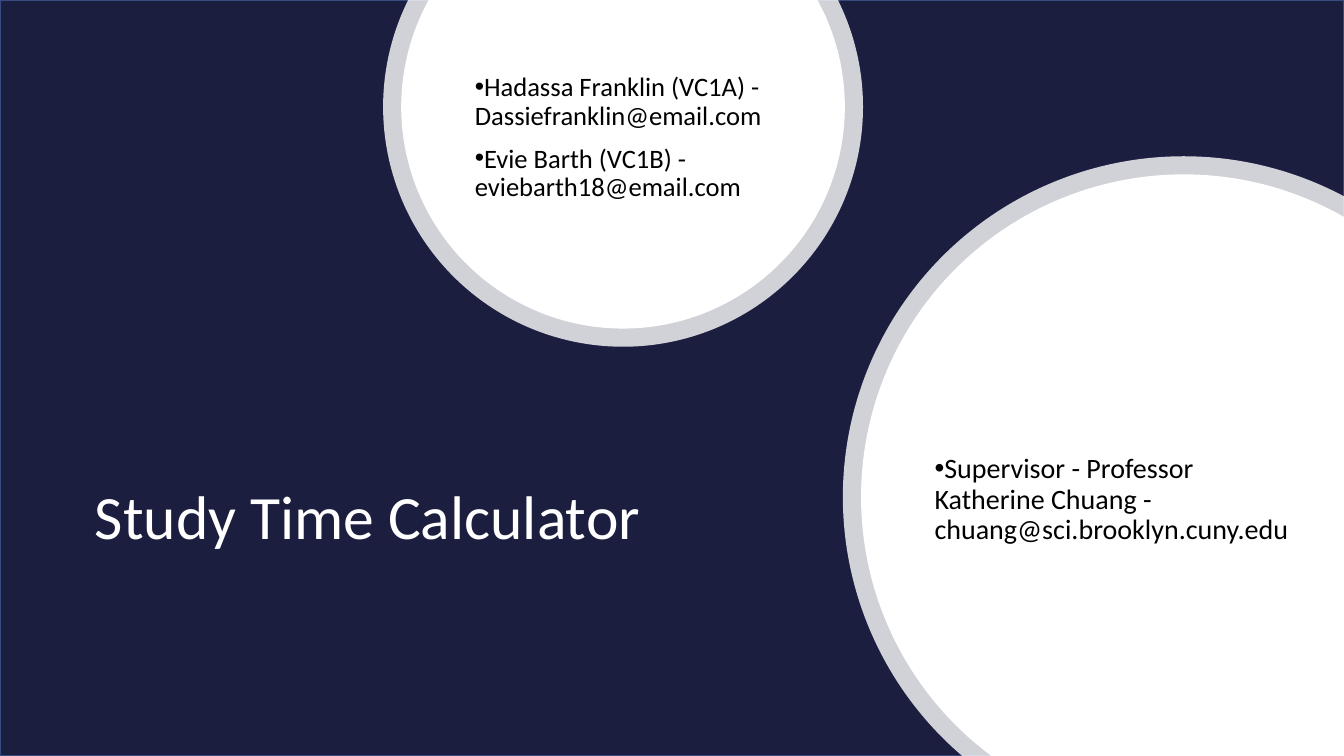
"""Build the title slide of the Study Time Calculator project."""
import math
from dataclasses import dataclass

import pptx
import pptx.dml.color
import pptx.enum.shapes
import pptx.enum.text
import pptx.oxml.ns
import pptx.util
from lxml import etree
from pptx.util import Inches

WIDTH, HEIGHT = 13.33, 7.5


@dataclass(frozen=True)
class Theme:
    """Hold the colours, font and type sizes of the slide."""
    backdrop: str = "002060"
    navy: str = "1B1E3E"
    edge: str = "374B7F"
    white: str = "FFFFFF"
    black: str = "000000"
    font: str = "Calibri"
    title_size: float = 44
    students_size: float = 19
    supervisor_size: float = 20


THEME = Theme()


def rgb(colour):
    """Turn a hexadecimal string into a colour."""
    return pptx.dml.color.RGBColor.from_string(colour)


def set_attributes(target, values):
    """Set each named value on the target."""
    for name, value in values.items():
        setattr(target, name, value)


def paint(fill, colour):
    """Apply a solid colour to a fill."""
    fill.solid()
    fill.fore_color.rgb = rgb(colour)


def set_opacity(element, percent):
    """Give the first colour inside an element an opacity."""
    colour = element.find(".//" + pptx.oxml.ns.qn("a:srgbClr"))
    alpha = etree.SubElement(colour, pptx.oxml.ns.qn("a:alpha"))
    alpha.set("val", str(percent * 1000))


def add_backdrop(slide):
    """Cover the slide with an outlined navy rectangle."""
    paint(slide.background.fill, THEME.backdrop)
    set_opacity(slide.element, 37)
    panel = slide.shapes.add_shape(
        pptx.enum.shapes.MSO_SHAPE.RECTANGLE, 0, 0, Inches(WIDTH), Inches(HEIGHT))
    panel.shadow.inherit = False
    paint(panel.fill, THEME.navy)
    panel.line.color.rgb = rgb(THEME.edge)
    panel.line.width = pptx.util.Pt(0.85)


def top_angles(centre, radius):
    """Return the arc ends of a disc cut off by the top edge."""
    cut = math.degrees(math.asin(centre[1] / radius))
    return -cut, 180 + cut


def corner_angles(centre, radius):
    """Return the arc ends of a disc cut off by the bottom right corner."""
    bottom = math.degrees(math.asin((HEIGHT - centre[1]) / radius))
    right = math.degrees(math.acos((WIDTH - centre[0]) / radius))
    return 180 - bottom, 360 - right


def bend_lines(disc, angles, radius):
    """Replace the lines between successive angles by arcs."""
    lines = list(disc.element.iter(pptx.oxml.ns.qn("a:lnTo")))
    for line, start, end in zip(lines, angles, angles[1:]):
        arc = etree.Element(pptx.oxml.ns.qn("a:arcTo"))
        values = {"wR": Inches(radius), "hR": Inches(radius),
                  "stAng": round(start % 360 * 60000),
                  "swAng": round((end - start) * 60000)}
        for name, value in values.items():
            arc.set(name, str(int(value)))
        line.getparent().replace(line, arc)


def add_clipped_disc(slide, centre, radius, find_angles, corners, opacity=100):
    """Draw a white disc cut off at the slide edges."""
    start, end = find_angles(centre, radius)
    angles = [start, *(turn for turn in range(0, 360, 90) if start < turn < end), end]
    points = [(centre[0] + radius * math.cos(math.radians(angle)),
               centre[1] + radius * math.sin(math.radians(angle))) for angle in angles]
    outline = [(Inches(x), Inches(y)) for x, y in points + corners]
    builder = slide.shapes.build_freeform(*outline[0])
    builder.add_line_segments(outline[1:], close=True)
    disc = builder.convert_to_shape()
    bend_lines(disc, angles, radius)
    disc.shadow.inherit = False
    paint(disc.fill, THEME.white)
    disc.line.fill.background()
    if opacity < 100:
        set_opacity(disc.element, opacity)


def add_ringed_disc(slide, centre, radius, find_angles, corners, ring=0.18):
    """Draw a disc with a translucent ring around it."""
    add_clipped_disc(slide, centre, radius + ring, find_angles, corners, opacity=80)
    add_clipped_disc(slide, centre, radius, find_angles, corners)


def add_bullet(paragraph):
    """Start a paragraph with a bullet."""
    properties = paragraph._p.get_or_add_pPr()
    properties.set("marL", "0")
    properties.set("indent", str(int(Inches(-0.25))))
    for tag, name, value in (("a:buFont", "typeface", "Arial"), ("a:buChar", "char", "•")):
        etree.SubElement(properties, pptx.oxml.ns.qn(tag)).set(name, value)


def fill_text(shape, box, lines, size, colour, bulleted=True):
    """Place a text shape in front and write its paragraphs."""
    shape.element.getparent().append(shape.element)
    left, top, width, height = map(Inches, box)
    set_attributes(shape, {"left": left, "top": top, "width": width, "height": height})
    frame = shape.text_frame
    set_attributes(frame, {
        "word_wrap": True,
        "auto_size": pptx.enum.text.MSO_AUTO_SIZE.NONE,
        "vertical_anchor": pptx.enum.text.MSO_ANCHOR.MIDDLE,
    })
    for index, line in enumerate(lines):
        paragraph = frame.add_paragraph() if index else frame.paragraphs[0]
        if bulleted:
            add_bullet(paragraph)
        set_attributes(paragraph, {
            "alignment": pptx.enum.text.PP_ALIGN.LEFT,
            "line_spacing": 0.9,
            "space_before": pptx.util.Pt(10 if index else 0),
        })
        run = paragraph.add_run()
        run.text = line
        set_attributes(run.font, {"name": THEME.font, "size": pptx.util.Pt(size)})
        run.font.color.rgb = rgb(colour)


def main():
    """Build and save the slide."""
    presentation = pptx.Presentation()
    set_attributes(presentation, {
        "slide_width": Inches(WIDTH), "slide_height": Inches(HEIGHT)})
    slide = presentation.slides.add_slide(presentation.slide_layouts[0])
    add_backdrop(slide)
    add_ringed_disc(slide, (6.18, 1.06), 2.2, top_angles, [])
    add_ringed_disc(slide, (11.74, 4.93), 3.2, corner_angles, [(WIDTH, HEIGHT)])
    fill_text(slide.shapes.title, (0.84, 3.83, 6.62, 2.65),
              ["Study Time Calculator"], THEME.title_size, THEME.white, bulleted=False)
    fill_text(slide.placeholders[1], (4.61, 0.39, 3.33, 1.96),
              ["Hadassa Franklin (VC1A) - Dassiefranklin@email.com",
               "Evie Barth (VC1B) - eviebarth18@email.com"],
              THEME.students_size, THEME.black)
    fill_text(slide.shapes.add_textbox(0, 0, 0, 0), (9.17, 3.44, 3.78, 3.04),
              ["Supervisor - Professor Katherine Chuang - chuang@sci.brooklyn.cuny.edu"],
              THEME.supervisor_size, THEME.black)
    presentation.save("out.pptx")


if __name__ == "__main__":
    main()
